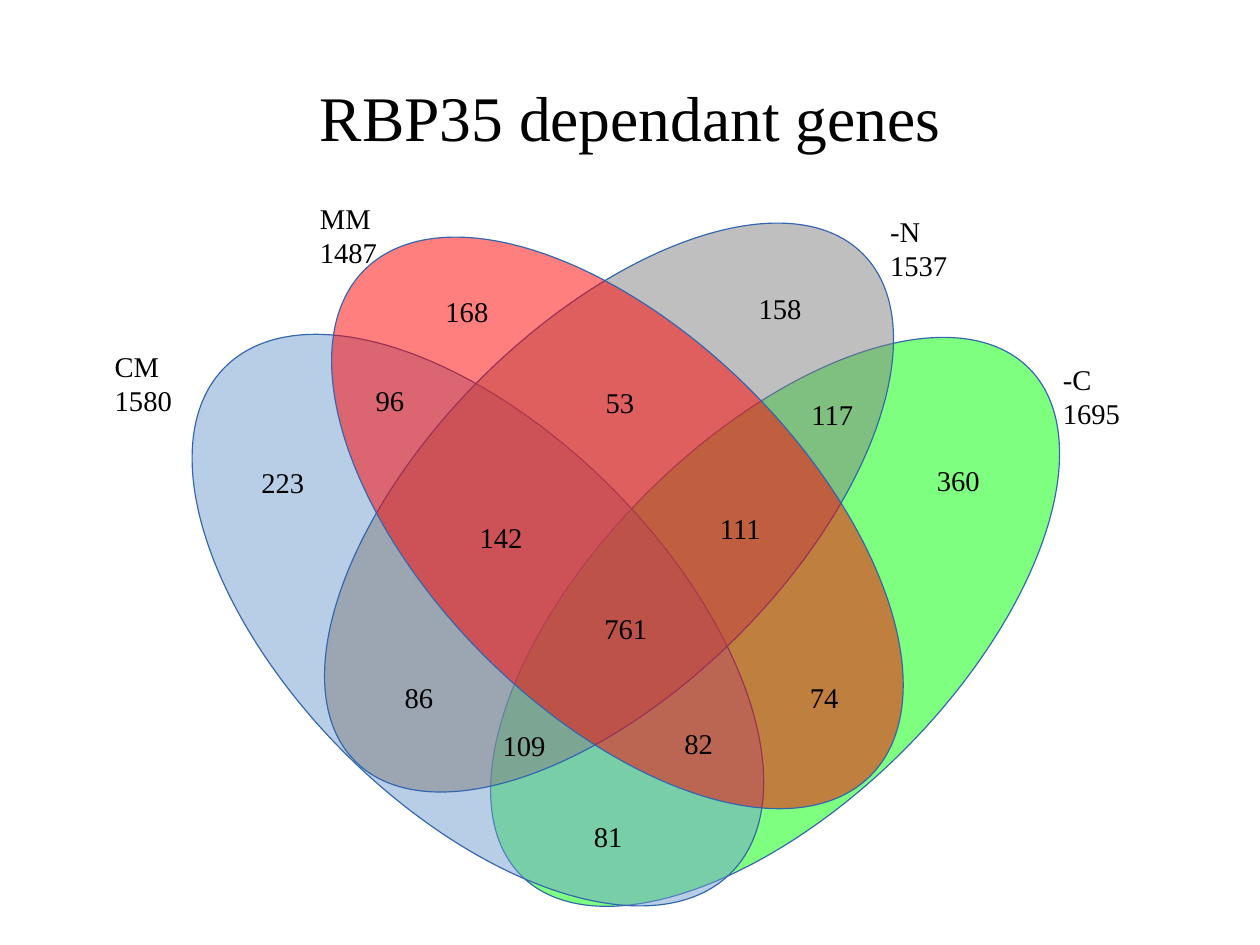
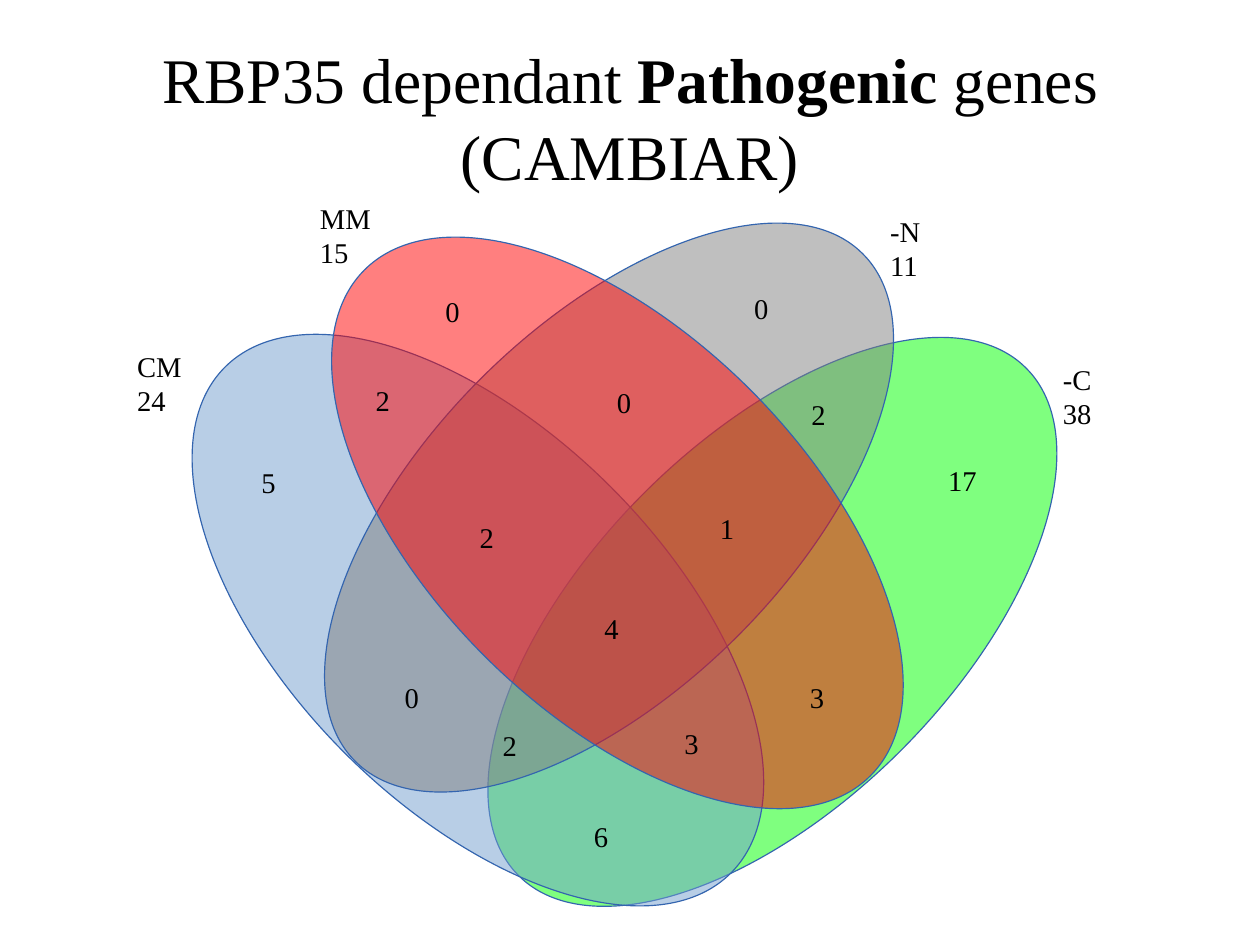
from lxml import etree
from pptx import Presentation
from pptx import util as u
from pptx.dml.color import RGBColor
from pptx.enum import shapes, text
from pptx.oxml.ns import qn

Cm, Pt = u.Cm, u.Pt
FONT = "Times New Roman"
BLACK = RGBColor(0x00, 0x00, 0x00)
OUTLINE = RGBColor(0x34, 0x65, 0xAF)
GREEN = RGBColor(0x00, 0xFF, 0x00)
BLUE = RGBColor(0x72, 0x9F, 0xCF)
GREY = RGBColor(0x80, 0x80, 0x80)
RED = RGBColor(0xFF, 0x00, 0x00)

TITLE_BOX = (1.4, 0.84, 25.2, 3.5)
VENN_ORIGIN = (2.3, 4.3)
LABEL_SIZE = (2.05, 1.65)
COUNT_SIZE = (1.8, 0.97)
RISING_SIZE = (15.95, 8.08)
FALLING_SIZE = (15.9, 8.36)

# Lengths are in cm, relative to the origin of the diagram; back to front.
ELLIPSES = {
    "-C": (6.95, 5.48, RISING_SIZE, 315, GREEN),
    "CM": (0.37, 5.3, FALLING_SIZE, 225, BLUE),
    "-N": (3.26, 2.94, RISING_SIZE, 315, GREY),
    "MM": (3.47, 3.14, FALLING_SIZE, 225, RED),
}
SET_LABELS = {
    "-C": (21.07, 3.62),
    "-N": (17.23, 0.32),
    "MM": (4.56, 0.04),
    "CM": (0, 3.32),
}
REGIONS = {
    "CM": (3.26, 5.91),
    "MM": (7.35, 2.1),
    "-N": (14.31, 2.05),
    "-C": (18.27, 5.86),
    "CM MM": (5.8, 4.08),
    "CM -N": (6.44, 10.69),
    "CM -C": (10.65, 13.78),
    "MM -N": (10.91, 4.13),
    "MM -C": (15.45, 10.69),
    "-N -C": (15.48, 4.39),
    "CM MM -N": (8.11, 7.13),
    "CM MM -C": (12.66, 11.7),
    "CM -N -C": (8.62, 11.75),
    "MM -N -C": (13.45, 6.93),
    "CM MM -N -C": (10.88, 9.16),
}

# Counts follow the order of REGIONS; shifts move single items sideways.
VENN_SLIDES = [
    {
        "title": [("RBP35 dependant genes", False)],
        "totals": {"-C": 1695, "-N": 1537, "MM": 1487, "CM": 1580},
        "counts": [223, 168, 158, 360, 96, 86, 81, 53, 74, 117,
                   142, 82, 109, 111, 761],
        "shifts": {},
    },
    {
        "title": [("RBP35 dependant ", False), ("Pathogenic", True),
                  (" genes (CAMBIAR)", False)],
        "totals": {"-C": 38, "-N": 11, "MM": 15, "CM": 24},
        "counts": [5, 0, 0, 17, 2, 0, 6, 0, 3, 2, 2, 3, 2, 1, 4],
        "shifts": {"ellipse -C": -0.06, "label CM": 0.5, "count MM -N": 0.25,
                   "count -N": -0.1, "count -C": 0.25},
    },
]


def style_run(run, size, bold=False):
    run.font.name = FONT
    run.font.size = Pt(size)
    run.font.bold = bold
    run.font.color.rgb = BLACK


def add_title(slide, parts):
    title = slide.shapes.title
    title.left, title.top, title.width, title.height = map(Cm, TITLE_BOX)
    frame = title.text_frame
    frame.margin_left = frame.margin_right = 0
    frame.margin_top = frame.margin_bottom = 0
    frame.word_wrap = True
    frame.auto_size = text.MSO_AUTO_SIZE.NONE
    frame.vertical_anchor = text.MSO_ANCHOR.MIDDLE
    paragraph = frame.paragraphs[0]
    paragraph.alignment = text.PP_ALIGN.CENTER
    for words, bold in parts:
        run = paragraph.add_run()
        run.text = words
        style_run(run, 40, bold)


def add_text(slide, left, top, size, words):
    box = slide.shapes.add_textbox(Cm(left), Cm(top), *map(Cm, size))
    frame = box.text_frame
    frame.word_wrap = True
    frame.text = words
    for paragraph in frame.paragraphs:
        for run in paragraph.runs:
            style_run(run, 18)


def add_ellipse(slide, left, top, size, rotation, color):
    ellipse = slide.shapes.add_shape(
        shapes.MSO_SHAPE.OVAL, Cm(left), Cm(top), *map(Cm, size))
    ellipse.rotation = rotation
    ellipse.shadow.inherit = False
    ellipse.fill.solid()
    ellipse.fill.fore_color.rgb = color
    ellipse.line.color.rgb = OUTLINE
    ellipse.line.width = 0
    fill_color = ellipse.fill._xPr.find(qn("a:solidFill"))[0]
    etree.SubElement(fill_color, qn("a:alpha"), val="50000")


def add_venn(slide, origin, totals, counts, shifts):
    """Draw the four sets, their totals and the count of each region."""
    x, y = origin
    for name, (left, top, size, rotation, color) in ELLIPSES.items():
        shift = shifts.get(f"ellipse {name}", 0)
        add_ellipse(slide, x + left + shift, y + top, size, rotation, color)
    for name, (left, top) in SET_LABELS.items():
        shift = shifts.get(f"label {name}", 0)
        add_text(slide, x + left + shift, y + top, LABEL_SIZE,
                 f"{name}\n{totals[name]}")
    for (name, (left, top)), count in zip(REGIONS.items(), counts):
        shift = shifts.get(f"count {name}", 0)
        add_text(slide, x + left + shift, y + top, COUNT_SIZE, str(count))


def main():
    presentation = Presentation()
    presentation.slide_width, presentation.slide_height = Cm(28), Cm(21)
    title_only = presentation.slide_layouts[5]
    for content in VENN_SLIDES:
        slide = presentation.slides.add_slide(title_only)
        add_title(slide, content["title"])
        add_venn(slide, VENN_ORIGIN, content["totals"], content["counts"],
                 content["shifts"])
    presentation.save("out.pptx")


if __name__ == "__main__":
    main()
